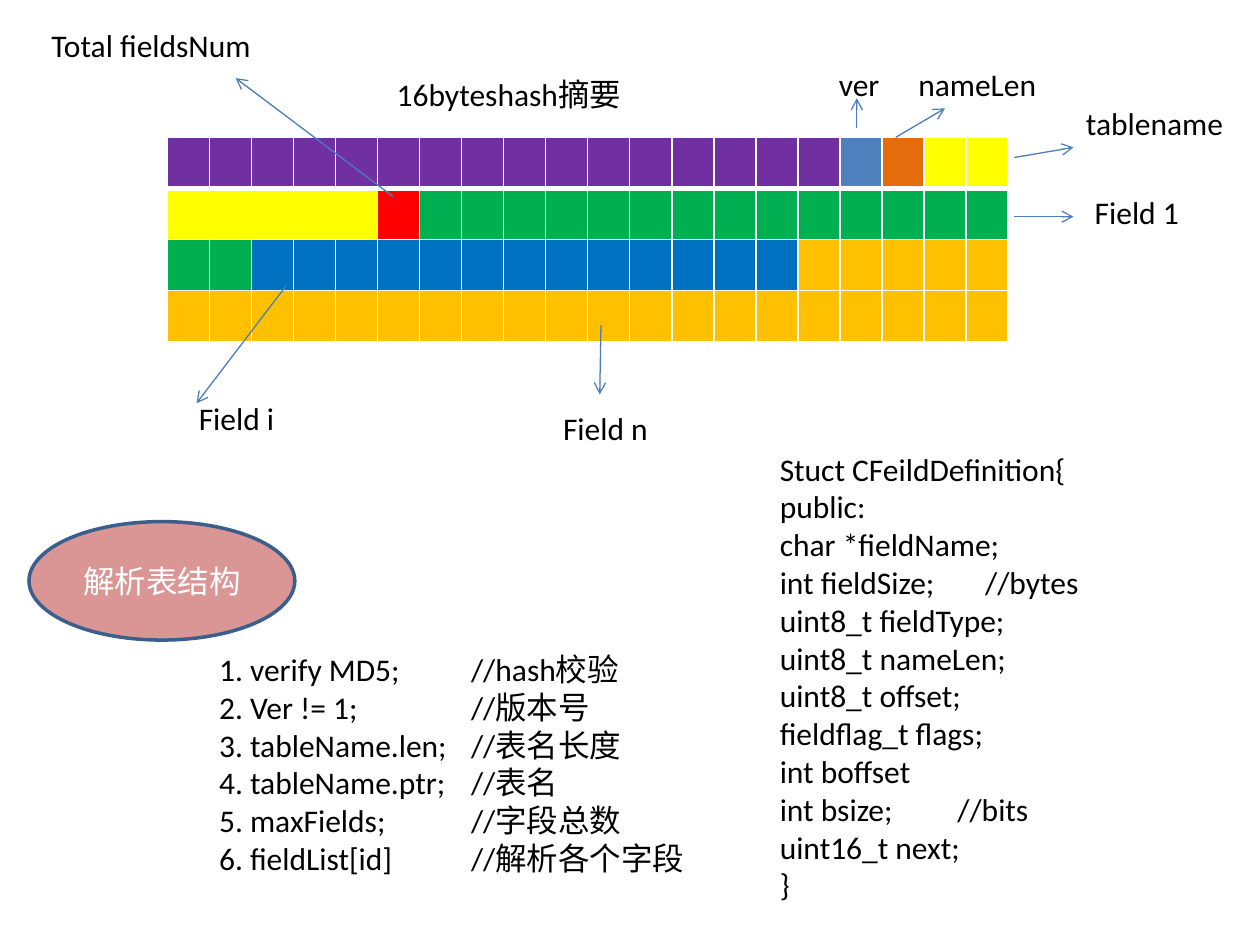
import itertools

import lxml.etree
import pptx
import pptx.dml.color
import pptx.enum.shapes
import pptx.enum.text
import pptx.oxml.ns
import pptx.util

Inches = pptx.util.Inches
Pt = pptx.util.Pt
qn = pptx.oxml.ns.qn


def tint(code):
    return pptx.dml.color.RGBColor.from_string(code)


class Painter:
    """Hold the style and the slide, and draw each kind of element."""

    font, size = "Calibri", 18
    ink, paper, edge = "000000", "FFFFFF", "4B7EBC"

    def __init__(self, slide):
        self.slide = slide

    def words(self, para, text, color):
        run = para.add_run()
        run.text = text
        run.font.name = self.font
        run.font.size = Pt(self.size)
        run.font.color.rgb = tint(color)

    def stop(self, para, place):
        props = para._p.get_or_add_pPr()
        tabs = lxml.etree.SubElement(props, qn("a:tabLst"))
        lxml.etree.SubElement(tabs, qn("a:tab"), pos=str(Inches(place)), algn="l")

    def text(self, left, top, width, height, lines, stops=None):
        box = self.slide.shapes.add_textbox(
            Inches(left), Inches(top), Inches(width), Inches(height))
        frame = box.text_frame
        frame.word_wrap = True
        frame.auto_size = pptx.enum.text.MSO_AUTO_SIZE.SHAPE_TO_FIT_TEXT
        for index, line in enumerate(lines):
            para = frame.add_paragraph() if index else frame.paragraphs[0]
            if stops and index in stops:
                self.stop(para, stops[index])
            self.words(para, line, self.ink)

    def arrow(self, x1, y1, x2, y2):
        line = self.slide.shapes.add_connector(
            pptx.enum.shapes.MSO_CONNECTOR.STRAIGHT,
            Inches(x1), Inches(y1), Inches(x2), Inches(y2))
        line.line.color.rgb = tint(self.edge)
        line.line.width = Pt(0.75)
        props = line._element.spPr
        lxml.etree.SubElement(props.find(qn("a:ln")), qn("a:tailEnd"), type="arrow")
        lxml.etree.SubElement(props, qn("a:effectLst"))

    def oval(self, left, top, width, height, text, fill, edge):
        oval = self.slide.shapes.add_shape(
            pptx.enum.shapes.MSO_SHAPE.OVAL,
            Inches(left), Inches(top), Inches(width), Inches(height))
        oval.shadow.inherit = False
        oval.fill.solid()
        oval.fill.fore_color.rgb = tint(fill)
        oval.line.color.rgb = tint(edge)
        oval.line.width = Pt(2)
        oval.text_frame.vertical_anchor = pptx.enum.text.MSO_ANCHOR.MIDDLE
        para = oval.text_frame.paragraphs[0]
        para.alignment = pptx.enum.text.PP_ALIGN.CENTER
        self.words(para, text, self.paper)

    def border(self, cell, sides):
        props = cell._tc.get_or_add_tcPr()
        for side, width in sides.items():
            line = lxml.etree.SubElement(props, qn(f"a:ln{side}"), w=str(Pt(width)))
            fill = lxml.etree.SubElement(line, qn("a:solidFill"))
            lxml.etree.SubElement(fill, qn("a:srgbClr"), val=self.paper)

    def grid(self, left, top, width, height, rows, cols, spans):
        table = self.slide.shapes.add_table(
            rows, cols, Inches(left), Inches(top), Inches(width), Inches(height)).table
        table.first_row = table.horz_banding = False
        for col in table.columns:
            col.width = Inches(width / cols)
        for row in table.rows:
            row.height = Inches(height / rows)
        fills = itertools.chain.from_iterable([code] * count for code, count in spans)
        for index, (cell, code) in enumerate(zip(table.iter_cells(), fills)):
            row = index // cols
            self.border(cell, {"L": 1, "R": 1, "T": 3 if row == 1 else 1,
                               "B": 3 if row == 0 else 1})
            cell.fill.solid()
            cell.fill.fore_color.rgb = tint(code)


SPANS = [("7030A0", 16), ("4F81BD", 1), ("E46C0A", 1), ("FFFF00", 7),
         ("FF0000", 1), ("00B050", 16), ("0070C0", 13), ("FFC000", 25)]
LABELS = [
    (3.05, 0.55, 2.58, "16byteshash摘要"),
    (6.56, 0.47, 0.63, "ver"),
    (7.19, 0.47, 1.41, "nameLen"),
    (8.52, 0.78, 1.48, "tablename"),
    (0.31, 0.16, 1.95, "Total fieldsNum"),
    (8.59, 1.48, 1.33, "Field 1"),
    (1.48, 3.12, 1.33, "Field i"),
    (4.37, 3.2, 1.48, "Field n"),
]
ARROWS = [
    (6.8, 1.02, 6.8, 0.78),
    (7.11, 1.09, 7.5, 0.86),
    (8.05, 1.25, 8.52, 1.17),
    (3.12, 1.56, 1.87, 0.62),
    (8.05, 1.72, 8.52, 1.72),
    (2.27, 2.27, 1.56, 3.2),
    (4.77, 2.58, 4.76, 3.13),
]
STEPS = [
    "1. verify MD5;\t//hash校验",
    "2. Ver != 1;\t//版本号",
    "3. tableName.len;\t//表名长度",
    "4. tableName.ptr;\t//表名",
    "5. maxFields;\t//字段总数",
    "6. fieldList[id]\t//解析各个字段",
]
STRUCT = [
    "Stuct CFeildDefinition{",
    "public:",
    "char *fieldName;",
    "int fieldSize;\t//bytes",
    "uint8_t fieldType;",
    "uint8_t nameLen;",
    "uint8_t offset;",
    "fieldflag_t flags;",
    "int boffset",
    "int bsize;\t//bits",
    "uint16_t next;",
    "}",
]


def main():
    deck = pptx.Presentation()
    deck.slide_width, deck.slide_height = Inches(10), Inches(7.5)
    pen = Painter(deck.slides.add_slide(deck.slide_layouts[6]))
    pen.grid(1.33, 1.09, 6.67, 1.62, 4, 20, SPANS)
    for left, top, width, label in LABELS:
        pen.text(left, top, width, 0.4, [label])
    for ends in ARROWS:
        pen.arrow(*ends)
    pen.oval(0.23, 4.14, 2.11, 0.94, "解析表结构", "D99694", "3A5F8C")
    pen.text(1.64, 5.11, 4.38, 1.92, STEPS, dict.fromkeys(range(len(STEPS)), 2))
    pen.text(6.09, 3.52, 3.59, 3.74, STRUCT, {3: 1.63, 9: 1.41})
    deck.save("out.pptx")


if __name__ == "__main__":
    main()
